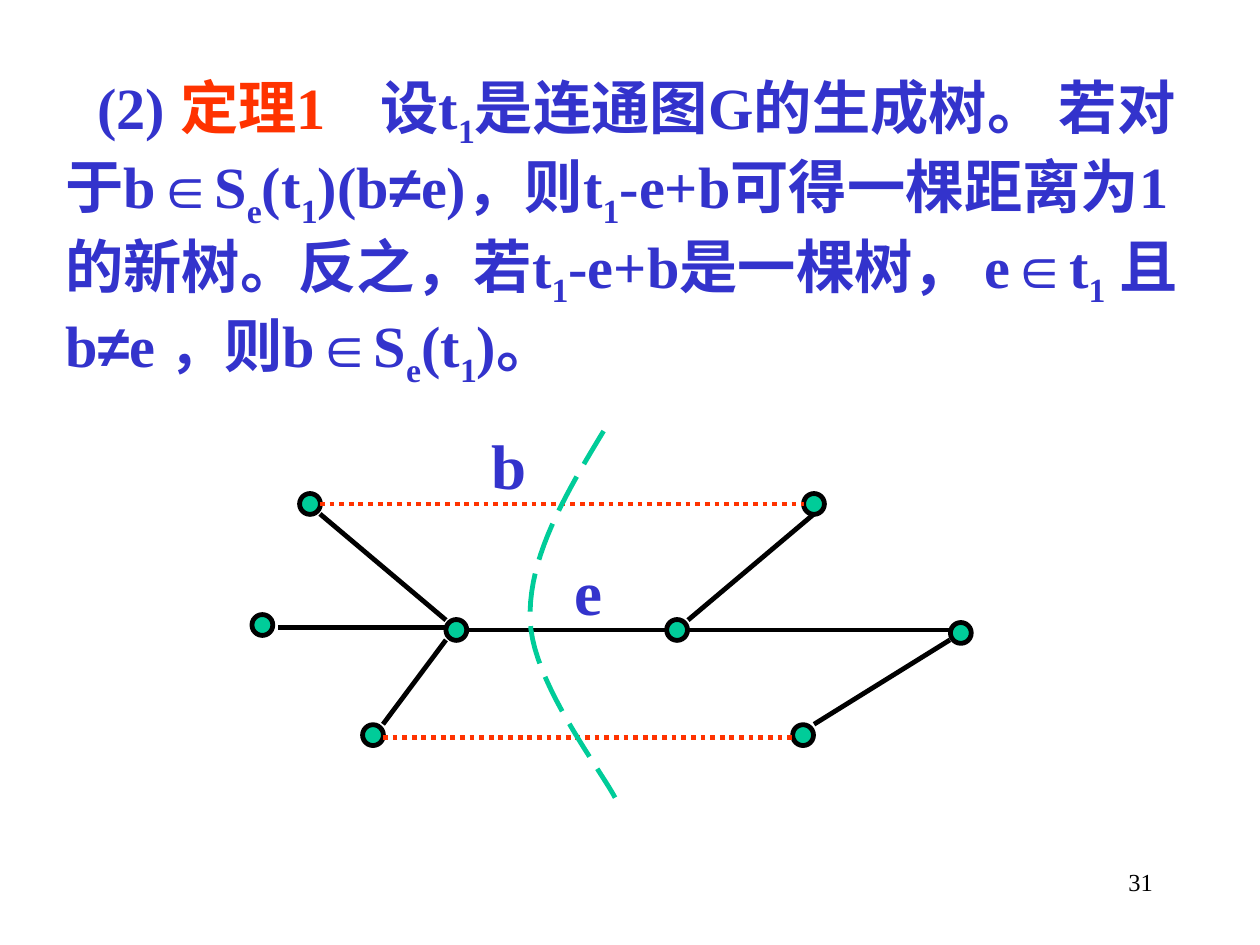
from lxml.etree import SubElement
from pptx import Presentation
from pptx.dml.color import RGBColor
from pptx.enum.dml import MSO_LINE
from pptx.enum.shapes import MSO_CONNECTOR, MSO_SHAPE
from pptx.enum.text import MSO_ANCHOR, MSO_AUTO_SIZE, PP_ALIGN
from pptx.oxml.ns import qn
from pptx.util import Cm, Pt

BLUE, RED, GREEN, BLACK = "3333CC", "FF3300", "00CC99", "000000"
SERIF = "Times New Roman"


def style_font(font, size, color, bold=True, name=SERIF):
    font.name, font.size, font.bold = name, Pt(size), bold
    font.color.rgb = RGBColor.from_string(color)


def style_line(sp, color, dash=None):
    sp.line.color.rgb = RGBColor.from_string(color)
    sp.line.width = Pt(2.75)
    if dash:
        sp.line.dash_style = dash


prs = Presentation()
prs.slide_width, prs.slide_height = Cm(25.4), Cm(19.05)
s = prs.slides.add_slide(prs.slide_layouts[1])
s.shapes.title.element.getparent().remove(s.shapes.title.element)

body = s.placeholders[1]
body.left, body.top, body.width, body.height = Cm(1.06), Cm(1.3), Cm(23.3), Cm(7.2)
tf = body.text_frame
tf.word_wrap = True
tf.auto_size = MSO_AUTO_SIZE.NONE
tf.vertical_anchor = MSO_ANCHOR.TOP
p = tf.paragraphs[0]
p.space_before = Pt(0)
p.line_spacing = 1.0
pPr = p._p.get_or_add_pPr()
pPr.set("marL", "0")
pPr.set("indent", str(Cm(0.65)))
SubElement(pPr, qn("a:buNone"))
tabs = SubElement(pPr, qn("a:tabLst"))
SubElement(tabs, qn("a:tab"), pos=str(Cm(7.04)), algn="l")

theorem = [
    ("(2) ", ""), ("定理1\t", "red"), ("设t", ""), ("1", "sub"),
    ("是连通图G的生成树。 若对于b", ""), ("∈", "math"), ("S", ""), ("e", "sub"),
    ("(t", ""), ("1", "sub"), (")(b", ""), ("≠", "math"), ("e)，则t", ""),
    ("1", "sub"), ("-e+b可得一棵距离为1的新树。反之，若t", ""), ("1", "sub"),
    ("-e+b是一棵树， e", ""), ("∈", "math"), ("t", ""), ("1", "sub"),
    (" ", "small"), ("且b", ""), ("≠", "math"), ("e", ""), (" ，", "small"),
    ("则b", ""), ("∈", "math"), ("S", ""), ("e", "sub"), ("(t", ""),
    ("1", "sub"), (")。", ""),
]
for text, kind in theorem:
    r = p.add_run()
    r.text = text
    style_font(r.font, 31.4 if kind == "small" else 33.3,
               RED if kind == "red" else BLUE,
               name="Arial" if kind == "math" else SERIF)
    if kind == "sub":
        r.font._element.set("baseline", "-25000")

d = 0.42
nodes = [(9.2, 12.7), (13.65, 12.7), (5.29, 12.6), (6.25, 10.16),
         (7.52, 14.82), (16.41, 10.16), (16.19, 14.82), (19.37, 12.76)]
for x, y in nodes:
    sp = s.shapes.add_shape(MSO_SHAPE.OVAL, Cm(x - d / 2), Cm(y - d / 2), Cm(d), Cm(d))
    sp.shadow.inherit = False
    sp.fill.solid()
    sp.fill.fore_color.rgb = RGBColor.from_string(GREEN)
    style_line(sp, BLACK)

tree = [(9.42, 12.7, 13.44, 12.7), (6.45, 10.36, 8.99, 12.5),
        (5.61, 12.65, 8.99, 12.65), (7.72, 14.6, 8.99, 12.9),
        (13.87, 12.5, 16.41, 10.36), (13.87, 12.7, 19.15, 12.7),
        (16.41, 14.6, 19.15, 12.9)]
chords = [(6.45, 10.16, 16.2, 10.16), (7.72, 14.86, 15.98, 14.86)]
for edges, color, dash in [(tree, BLACK, None), (chords, RED, MSO_LINE.ROUND_DOT)]:
    for edge in edges:
        sp = s.shapes.add_connector(MSO_CONNECTOR.STRAIGHT, *[Cm(v) for v in edge])
        SubElement(sp._element.spPr, qn("a:effectLst"))
        style_line(sp, color, dash)

cut = [[(12.17, 8.69), (11.4, 9.96), (10.64, 11.25), (10.69, 12.5)],
       [(10.69, 12.5), (10.72, 13.72), (12.09, 15.49), (12.4, 16.08)]]
steps = 20
points = []
for curve in cut:
    for i in range(steps + 1):
        t = i / steps
        weights = ((1 - t) ** 3, 3 * t * (1 - t) ** 2, 3 * t ** 2 * (1 - t), t ** 3)
        points.append(tuple(Cm(sum(w * c[k] for w, c in zip(weights, curve)))
                            for k in (0, 1)))
fb = s.shapes.build_freeform(*points[0])
fb.add_line_segments(points[1:], close=False)
sp = fb.convert_to_shape()
sp.shadow.inherit = False
sp.fill.background()
style_line(sp, GREEN, MSO_LINE.LONG_DASH)

labels = [("e", 10.91, 11.01, 1.9, 1.78, 36, BLUE, True, PP_ALIGN.CENTER),
          ("b", 9.32, 8.47, 1.9, 1.78, 36, BLUE, True, PP_ALIGN.CENTER),
          ("31", 18.2, 17.36, 5.29, 1.27, 14, BLACK, False, PP_ALIGN.RIGHT)]
for text, x, y, w, h, size, color, bold, align in labels:
    sp = s.shapes.add_textbox(Cm(x), Cm(y), Cm(w), Cm(h))
    tf = sp.text_frame
    tf.word_wrap = True
    tf.text = text
    p = tf.paragraphs[0]
    p.alignment = align
    style_font(p.runs[0].font, size, color, bold)

prs.save("out.pptx")
